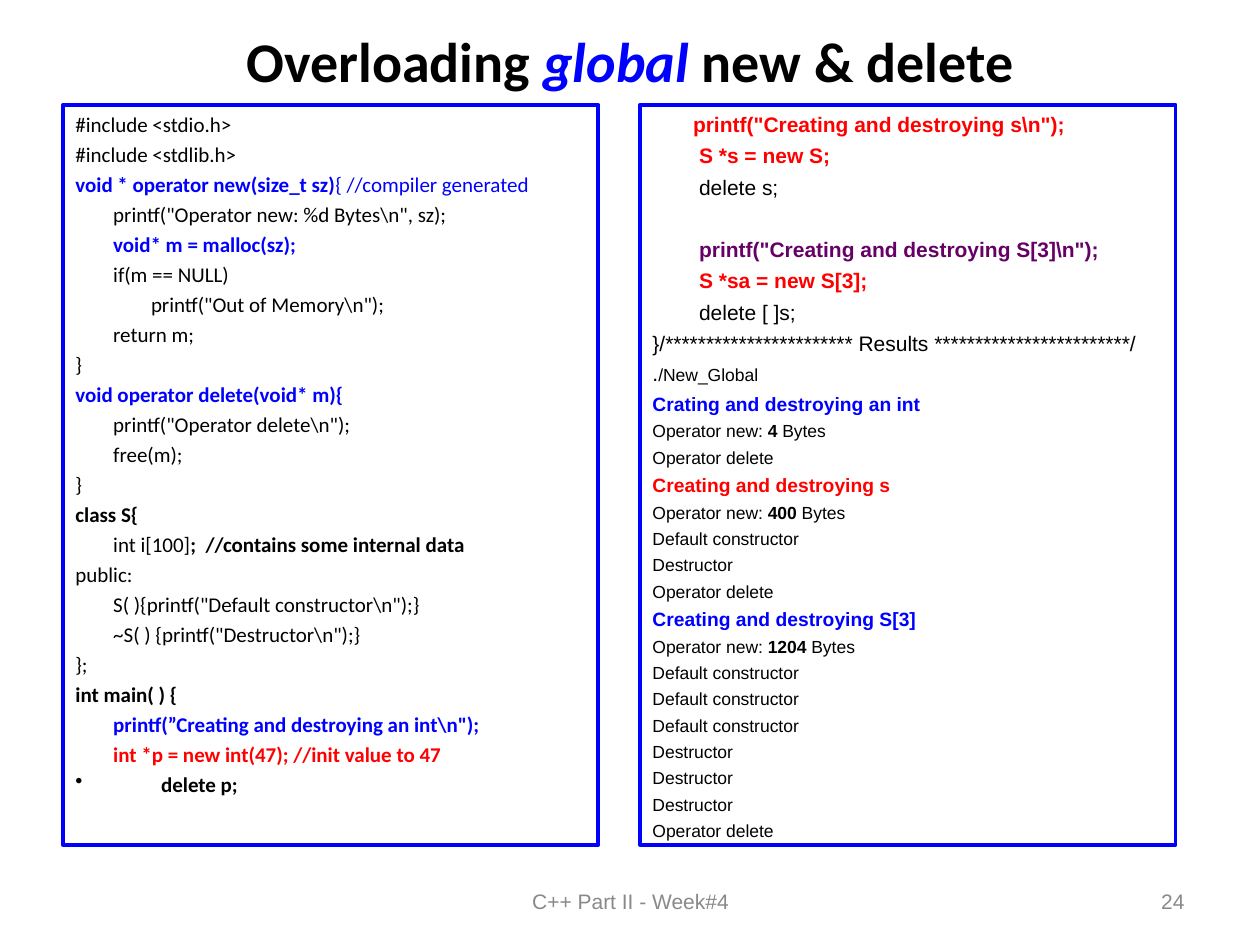
import pptx
import pptx.util
import pptx.dml.color
import pptx.enum.shapes
import pptx.enum.text
import lxml.etree

ALIGN = pptx.enum.text.PP_ALIGN
ANCHOR = pptx.enum.text.MSO_ANCHOR
HANG = 0.38
CODE_INDENT = 0.3
OUTPUT_INDENT = 0.37
BULLET_INDENT = 0.68

PLAIN = ("000000", False)
STRONG = ("000000", True)
BLUE = ("0000FF", True)
LIGHT_BLUE = ("0000FF", False)
RED = ("FF0000", True)
PURPLE = ("660066", True)
GREY = ("898989", False)

SOURCE_LINES = [
    (0, [("#include <stdio.h>", PLAIN)]),
    (0, [("#include <stdlib.h>", PLAIN)]),
    (0, [("void * operator new(size_t sz)", BLUE), ("{ //compiler generated", LIGHT_BLUE)]),
    (1, [('printf("Operator new: %d Bytes\\n", sz);', PLAIN)]),
    (1, [("void* m = malloc(sz);", BLUE)]),
    (1, [("if(m == NULL)", PLAIN)]),
    (2, [('printf("Out of Memory\\n");', PLAIN)]),
    (1, [("return m;", PLAIN)]),
    (0, [("}", PLAIN)]),
    (0, [("void operator delete(void* m){", BLUE)]),
    (1, [('printf("Operator delete\\n");', PLAIN)]),
    (1, [("free(m);", PLAIN)]),
    (0, [("}", PLAIN)]),
    (0, [("class S{", STRONG)]),
    (1, [("int i[100]", PLAIN), (";  //contains some internal data", STRONG)]),
    (0, [("public:", PLAIN)]),
    (1, [('S( ){printf("Default constructor\\n");}', PLAIN)]),
    (1, [('~S( ) {printf("Destructor\\n");}', PLAIN)]),
    (0, [("};", PLAIN)]),
    (0, [("int main( ) {", STRONG)]),
    (1, [('printf(”Creating and destroying an int\\n");', BLUE)]),
    (1, [("int *p = new int(47); //init value to 47", RED)]),
]

MAIN_LINES = [
    (0.87, [('printf("Creating and destroying s\\n");', RED)]),
    (1, [("S *s = new S;", RED)]),
    (1, [("delete s;", PLAIN)]),
    (1, [('printf("Creating and destroying S[3]\\n");', PURPLE)]),
    (1, [("S *sa = new S[3];", RED)]),
    (1, [("delete [ ]s;", PLAIN)]),
    (0, [("}/" + "*" * 23 + " Results " + "*" * 24 + "/", PLAIN)]),
]
GAP_LINE = 3

RESULTS = [
    ("Crating and destroying an int", BLUE, "4 ", ["Operator delete"]),
    ("Creating and destroying s", RED, "400 ",
     ["Default constructor", "Destructor", "Operator delete"]),
    ("Creating and destroying S[3]", BLUE, "1204 ",
     ["Default constructor"] * 3 + ["Destructor"] * 3 + ["Operator delete"]),
]


def color(value):
    return pptx.dml.color.RGBColor.from_string(value)


def place(page, share):
    left, top, width, height = share
    return [pptx.util.Inches(value) for value in (left * 10, top * 7.5, width * 10, height * 7.5)]


def style_font(font, style):
    font.color.rgb = color(style[0])
    font.bold = style[1]


def next_paragraph(frame):
    if frame.paragraphs[0].runs:
        return frame.add_paragraph()
    return frame.paragraphs[0]


def add_line(frame, spans, face, size, indent=0, before=0, hang=HANG, bullet=None):
    para = next_paragraph(frame)
    para.alignment = ALIGN.LEFT
    props = para._p.get_or_add_pPr()
    props.set("marL", str(pptx.util.Inches(hang + indent)))
    props.set("indent", str(-pptx.util.Inches(hang)))
    if bullet:
        mark = lxml.etree.SubElement(props, pptx.oxml.ns.qn("a:buChar"))
        mark.set("char", bullet)
    para.space_before = pptx.util.Pt(before)
    para.font.name = face
    para.font.size = pptx.util.Pt(size)
    if len(spans) == 1:
        style_font(para.font, spans[0][1])
    for text, style in spans:
        span = para.add_run()
        span.text = text
        if len(spans) > 1:
            style_font(span.font, style)
    return para


def add_panel(page, share):
    box = page.shapes.add_shape(pptx.enum.shapes.MSO_SHAPE.RECTANGLE, *place(page, share))
    box.shadow.inherit = False
    box.fill.background()
    box.line.color.rgb = color("0000FF")
    box.line.width = pptx.util.Pt(2.25)
    box.text_frame.word_wrap = True
    box.text_frame.vertical_anchor = ANCHOR.TOP
    return box.text_frame


def add_title(page):
    title = page.shapes.title
    title.left, title.top, title.width, title.height = place(page, (0.05, 0, 0.9, 0.127))
    title.text_frame.vertical_anchor = ANCHOR.MIDDLE
    para = title.text_frame.paragraphs[0]
    para.alignment = ALIGN.CENTER
    para.font.name = "Calibri"
    para.font.size = pptx.util.Pt(32)
    for text, style in (("Overloading ", STRONG), ("global ", BLUE), ("new & delete", STRONG)):
        span = para.add_run()
        span.text = text
        style_font(span.font, style)
        span.font.italic = style == BLUE


def add_source(page, share):
    frame = add_panel(page, share)
    for depth, spans in SOURCE_LINES:
        add_line(frame, spans, "Calibri", 12, depth * CODE_INDENT, 2.75)
    add_line(frame, [("delete p;", STRONG)], "Calibri", 12, 0, 2.75, BULLET_INDENT, "•")


def add_output(page, share):
    frame = add_panel(page, share)

    def write(spans, size, indent=0, before=0):
        return add_line(frame, spans, "Arial", size, indent, before or size * 0.3)

    for number, (depth, spans) in enumerate(MAIN_LINES):
        write(spans, 12, depth * OUTPUT_INDENT, 21 if number == GAP_LINE else 0)
    command = write([(".", PLAIN), ("/New_Global", PLAIN)], 10)
    command.runs[0].font.size = pptx.util.Pt(12)
    for heading, style, count, calls in RESULTS:
        write([(heading, style)], 11)
        write([("Operator new: ", PLAIN), (count, STRONG), ("Bytes", PLAIN)], 10)
        for call in calls:
            write([(call, PLAIN)], 10)


def add_footer(page, share, text, alignment):
    box = page.shapes.add_textbox(*place(page, share))
    box.text_frame.word_wrap = True
    box.text_frame.vertical_anchor = ANCHOR.MIDDLE
    para = add_line(box.text_frame, [(text, GREY)], "Arial", 12, hang=0)
    para.alignment = alignment


def main():
    deck = pptx.Presentation()
    deck.slide_width = pptx.util.Inches(10)
    deck.slide_height = pptx.util.Inches(7.5)
    page = deck.slides.add_slide(deck.slide_layouts[5])
    add_title(page)
    add_source(page, (0.05, 0.111, 0.425, 0.783))
    add_footer(page, (0.342, 0.927, 0.317, 0.053), "C++ Part II - Week#4", ALIGN.CENTER)
    add_footer(page, (0.717, 0.927, 0.233, 0.053), "24", ALIGN.RIGHT)
    add_output(page, (0.508, 0.111, 0.425, 0.783))
    deck.save("out.pptx")


if __name__ == "__main__":
    main()
